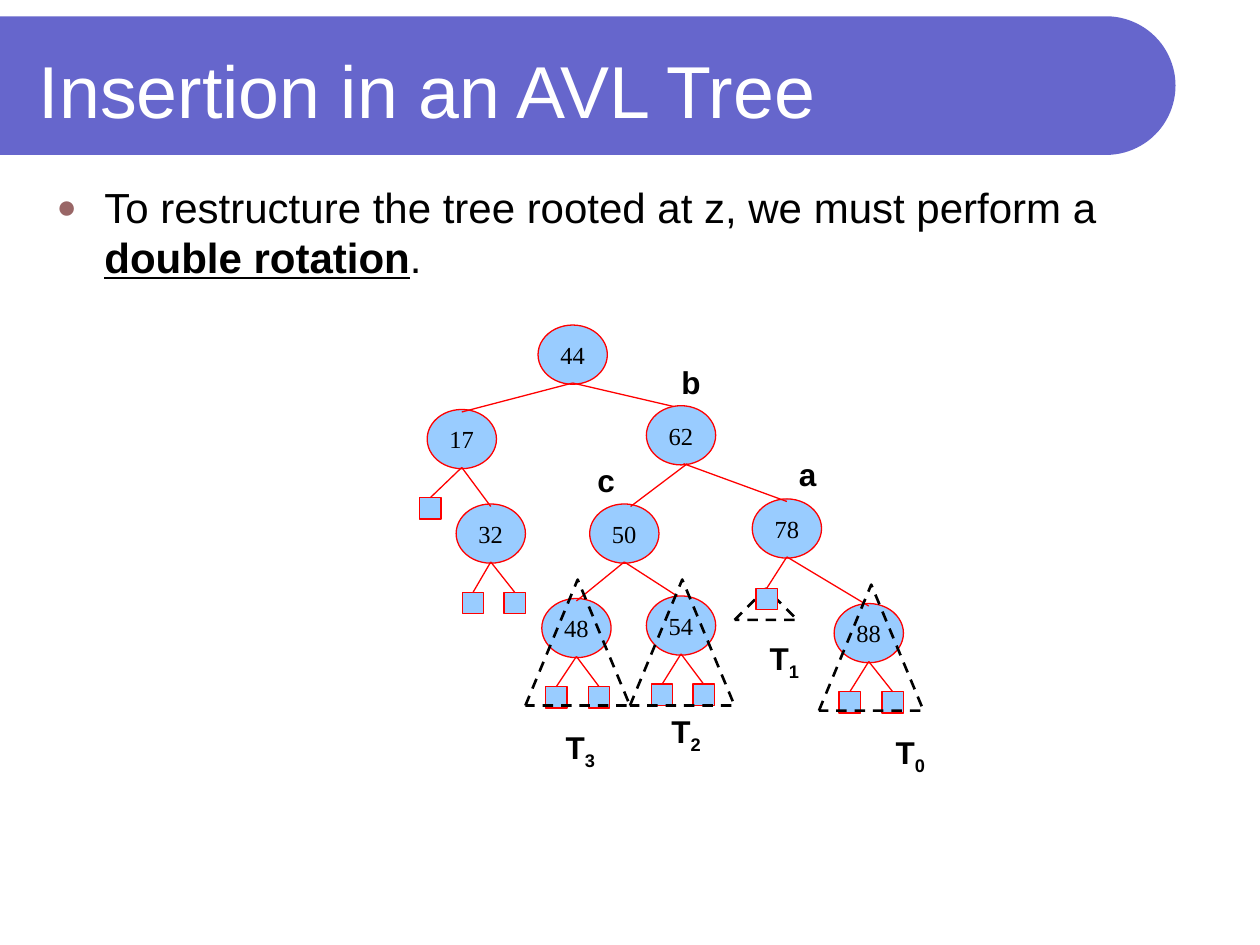
from math import cos, pi, sin

from lxml.etree import SubElement
from pptx import Presentation
from pptx.dml.color import RGBColor
from pptx.enum.dml import MSO_LINE_DASH_STYLE as DASH
from pptx.enum.shapes import MSO_CONNECTOR as CONNECTOR, MSO_SHAPE as SHAPE
from pptx.enum.text import MSO_ANCHOR as ANCHOR, PP_ALIGN as ALIGN
from pptx.oxml.ns import qn
from pptx.util import Inches, Pt

BANNER = RGBColor(0x66, 0x66, 0xCC)
NODE_FILL = RGBColor(0x99, 0xCC, 0xFF)
RED = RGBColor(0xFF, 0x00, 0x00)
BLACK = RGBColor(0x00, 0x00, 0x00)
WHITE = RGBColor(0xFF, 0xFF, 0xFF)

NODE_W, NODE_H, LEAF = 0.55, 0.47, 0.17

# Top-left corner of every key in the tree
NODES = {
    "44": (4.27, 2.58), "17": (3.39, 3.25), "62": (5.13, 3.22),
    "78": (5.97, 3.96), "32": (3.62, 4), "50": (4.68, 4),
    "88": (6.62, 4.79), "48": (4.3, 4.75), "54": (5.13, 4.73),
}
# Top-left corners of the external nodes below each key
LEAVES = {
    "17": [(3.33, 3.95)],
    "32": [(3.67, 4.7), (4, 4.7)],
    "48": [(4.33, 5.45), (4.67, 5.45)],
    "88": [(6.66, 5.49), (7, 5.49)],
    "54": [(5.17, 5.43), (5.5, 5.43)],
    "78": [(6, 4.67)],
}
# Parent, child, then sideways shift of the start and of the end
LOWER_EDGES = [("44", "17", 0, 0), ("17", "32", 0, 0), ("44", "62", 0, 0),
               ("78", "88", 0, 0), ("50", "48", 0, 0), ("50", "54", 0, 0)]
UPPER_EDGES = [("62", "78", 0.02, 0), ("62", "50", 0.05, 0.05)]

SUBTREES = [(4.17, 4.6, 0.83, 1), (5, 4.6, 0.83, 1),
            (6.5, 4.64, 0.83, 1), (5.83, 4.67, 0.5, 0.25)]
ROLE_LABELS = [("a", 6.24, 3.56), ("b", 5.31, 2.83), ("c", 4.64, 3.61)]
SUBTREE_LABELS = [("3", 4.39, 5.73), ("2", 5.23, 5.6),
                  ("1", 6.01, 5.02), ("0", 7.01, 5.77)]


def add_run(paragraph, text, size=18, font="Arial", color=BLACK,
            bold=False, underline=False, baseline=None):
    run = paragraph.add_run()
    run.text = text
    run.font.size, run.font.name = Pt(size), font
    run.font.bold, run.font.underline = bold, underline
    run.font.color.rgb = color
    if baseline is not None:
        run._r.get_or_add_rPr().set("baseline", str(baseline * 1000))


def add_text_box(slide, box, align=ALIGN.LEFT, anchor=ANCHOR.TOP, wrap=True):
    frame = slide.shapes.add_textbox(*map(Inches, box)).text_frame
    frame.word_wrap, frame.vertical_anchor = wrap, anchor
    frame.paragraphs[0].alignment = align
    return frame.paragraphs[0]


def add_outlined(slide, kind, box, fill=None, line=RED, width=0.75, dash=None):
    shape = slide.shapes.add_shape(kind, *map(Inches, box))
    shape.shadow.inherit = False
    if fill is None:
        shape.fill.background()
    else:
        shape.fill.solid()
        shape.fill.fore_color.rgb = fill
    shape.line.color.rgb, shape.line.width = line, Pt(width)
    if dash:
        shape.line.dash_style = dash
    return shape


def add_node(slide, key):
    node = add_outlined(slide, SHAPE.OVAL, (*NODES[key], NODE_W, NODE_H), NODE_FILL)
    frame = node.text_frame
    frame.word_wrap, frame.vertical_anchor = False, ANCHOR.MIDDLE
    frame.paragraphs[0].alignment = ALIGN.CENTER
    add_run(frame.paragraphs[0], key, size=14, font="Times New Roman")


def node_bottom(key, shift=0):
    left, top = NODES[key]
    return left + NODE_W / 2 + shift, top + NODE_H - 0.01


def node_top(key, shift=0):
    left, top = NODES[key]
    return left + NODE_W / 2 + shift, top + 0.02


def add_edge(slide, start, end):
    edge = slide.shapes.add_connector(CONNECTOR.STRAIGHT, *map(Inches, start + end))
    edge.line.color.rgb, edge.line.width = RED, Pt(0.75)
    SubElement(edge._element.spPr, qn("a:effectLst"))
    return edge


def add_key_edges(slide, edges):
    for parent, child, start_shift, end_shift in edges:
        add_edge(slide, node_bottom(parent, start_shift), node_top(child, end_shift))


def add_leaves(slide, parent):
    for left, top in LEAVES[parent]:
        leaf = add_outlined(slide, SHAPE.RECTANGLE, (left, top, LEAF, LEAF), NODE_FILL)
        edge = add_edge(slide, node_bottom(parent), (left + LEAF / 2, top))
        edge.end_connect(leaf, 0)


def add_banner(slide):
    radius, center_x, center_y, steps = 0.55, 8.78, 0.68, 48
    angles = [pi * (i / steps - 0.5) for i in range(steps + 1)]
    points = [(center_x + radius * cos(a), center_y + radius * sin(a)) for a in angles]
    points.append((0, center_y + radius))
    builder = slide.shapes.build_freeform(0, Inches(center_y - radius))
    builder.add_line_segments([(Inches(x), Inches(y)) for x, y in points], close=True)
    banner = builder.convert_to_shape()
    banner.shadow.inherit = False
    banner.fill.solid()
    banner.fill.fore_color.rgb = BANNER
    banner.line.fill.background()


def add_bullet(paragraph):
    paragraph.space_before = Pt(6)
    properties = paragraph._p.get_or_add_pPr()
    properties.set("marL", str(Inches(0.38)))
    properties.set("indent", str(-Inches(0.38)))
    color = SubElement(properties, qn("a:buClr"))
    SubElement(color, qn("a:srgbClr"), val="996666")
    SubElement(properties, qn("a:buSzPct"), val="80000")
    SubElement(properties, qn("a:buFont"), typeface="Arial")
    SubElement(properties, qn("a:buChar"), char="●")


def add_heading_and_body(slide):
    title = add_text_box(slide, (0.21, 0.21, 8.77, 1), anchor=ANCHOR.MIDDLE)
    add_run(title, "Insertion in an AVL Tree", size=42, color=WHITE)
    body = add_text_box(slide, (0.35, 1.39, 9.29, 5.75))
    add_bullet(body)
    add_run(body, "To restructure the tree rooted at z, we must perform a ", size=24)
    add_run(body, "double rotation", size=24, bold=True, underline=True)
    add_run(body, ".", size=24)


def add_tree(slide):
    # Keys 62 and 54 cover the ends of the edges that lead to them
    covering = ("62", "54")
    for key in NODES:
        if key not in covering:
            add_node(slide, key)
    for parent in ("17", "32", "48", "88"):
        add_leaves(slide, parent)
    add_key_edges(slide, LOWER_EDGES)
    for key in covering:
        add_node(slide, key)
    add_key_edges(slide, UPPER_EDGES)
    add_leaves(slide, "54")


def add_labels(slide):
    for letter, left, top in ROLE_LABELS:
        label = add_text_box(slide, (left, top, 0.34, 0.4), align=ALIGN.CENTER)
        add_run(label, letter, bold=True)
    for index, left, top in SUBTREE_LABELS:
        label = add_text_box(slide, (left, top, 0.43, 0.44),
                             align=ALIGN.CENTER, wrap=False)
        add_run(label, "T", bold=True)
        add_run(label, index, bold=True, baseline=-25)


def main():
    deck = Presentation()
    deck.slide_width, deck.slide_height = Inches(10), Inches(7.5)
    slide = deck.slides.add_slide(deck.slide_layouts[6])

    add_banner(slide)
    add_heading_and_body(slide)
    add_tree(slide)
    # Dashed outlines of the subtrees
    for box in SUBTREES:
        add_outlined(slide, SHAPE.ISOSCELES_TRIANGLE, box,
                     line=BLACK, width=1.5, dash=DASH.DASH)
    add_labels(slide)
    # The leaf of 78 lies over its subtree outline
    add_leaves(slide, "78")
    deck.save("out.pptx")


if __name__ == "__main__":
    main()
